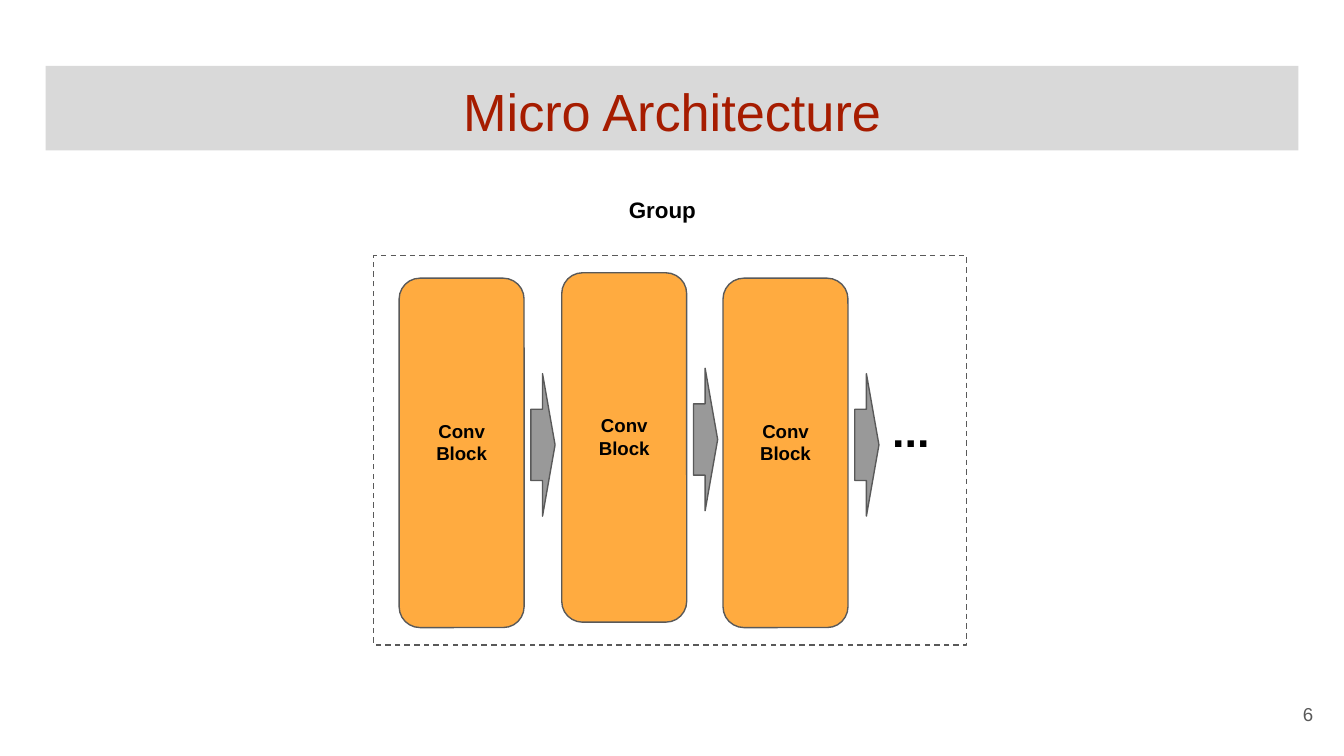
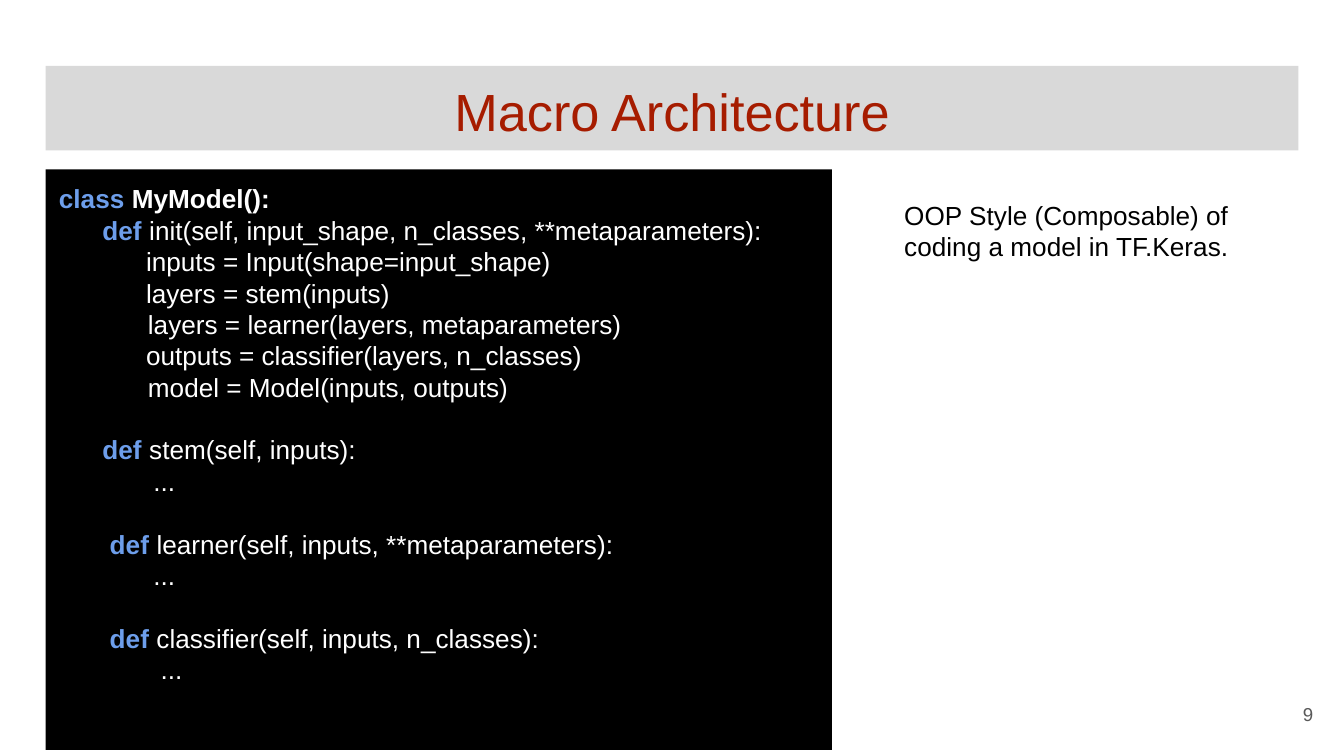
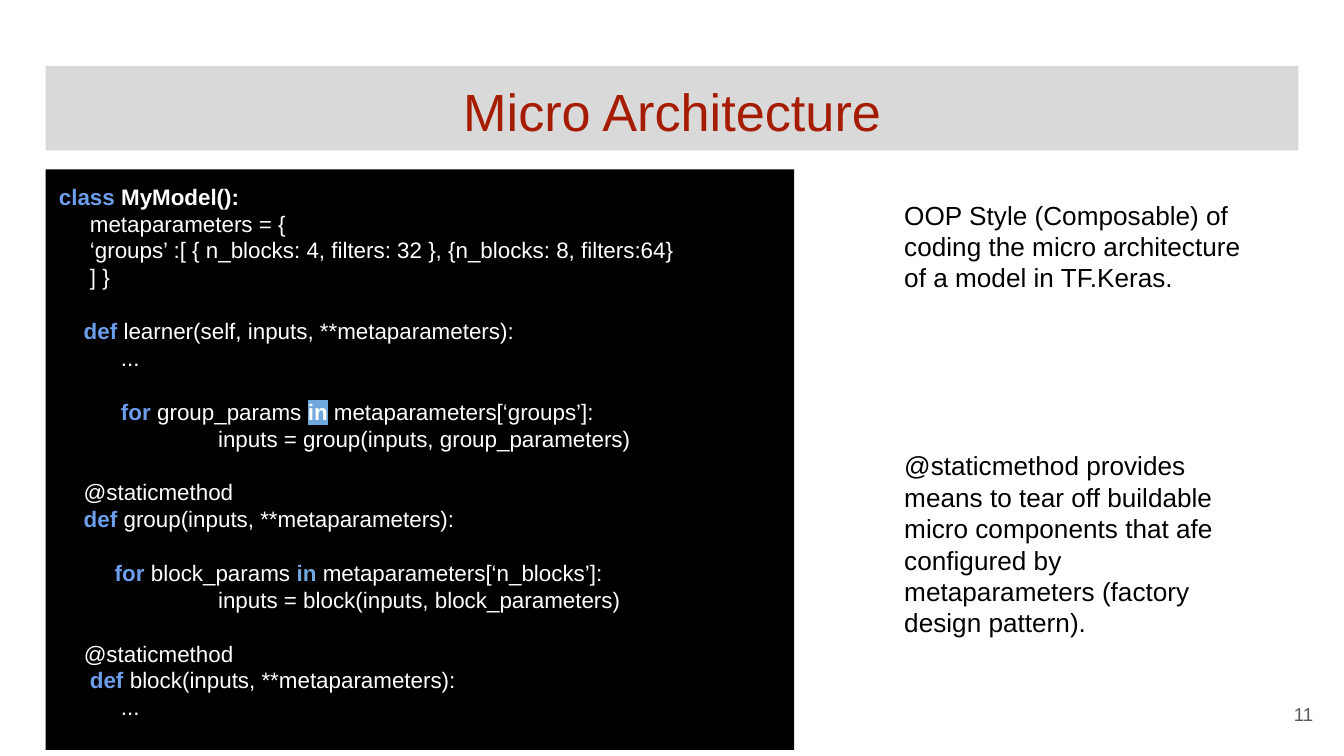
"""Build three slides on macro and micro model architecture."""
from dataclasses import dataclass

from lxml import etree
from pptx import Presentation
from pptx.dml.color import RGBColor
from pptx.enum import dml, shapes, text
from pptx.oxml import ns
from pptx.util import Inches, Pt

FONT = "Arial"
WHITE = RGBColor(0xFF, 0xFF, 0xFF)
BLACK = RGBColor(0x00, 0x00, 0x00)
TITLE_RED = RGBColor(0xA6, 0x1C, 0x00)
BAND_GRAY = RGBColor(0xD9, 0xD9, 0xD9)
OUTLINE_GRAY = RGBColor(0x59, 0x59, 0x59)
ARROW_GRAY = RGBColor(0x99, 0x99, 0x99)
BLOCK_ORANGE = RGBColor(0xFF, 0xAB, 0x40)
KEYWORD_BLUE = RGBColor(0x6D, 0x9E, 0xEB)
IN_BLUE = RGBColor(0x6F, 0xA8, 0xDC)
LINE_PITCH = 1.2
LEFT, CENTER, RIGHT = text.PP_ALIGN.LEFT, text.PP_ALIGN.CENTER, text.PP_ALIGN.RIGHT
TOP, MIDDLE = text.MSO_ANCHOR.TOP, text.MSO_ANCHOR.MIDDLE


@dataclass(frozen=True)
class Box:
    """A position and size in inches."""
    left: float
    top: float
    width: float
    height: float

    def lengths(self):
        """Return the four values as lengths."""
        return [Inches(value) for value in (self.left, self.top, self.width, self.height)]


@dataclass(frozen=True)
class Span:
    """A piece of text in one style."""
    words: str
    color: RGBColor = BLACK
    bold: bool = False
    highlight: RGBColor | None = None


@dataclass(frozen=True)
class Line:
    """A paragraph with the number of empty lines above it."""
    spans: tuple
    gap: int = 0
    indent: float = 0
    tab: float = 0


TITLE_BOX = Box(0.34, 0.49, 9.32, 0.63)
NUMBER_BOX = Box(9.27, 5.1, 0.6, 0.43)
NOTE_BOX = Box(6.63, 1.38, 2.84, 3.95)
GROUP_BOX = Box(2.78, 1.9, 4.41, 2.9)
BLOCK_LEFTS = (2.97, 4.18, 5.38)
BLOCK_TOPS = (2.07, 2.03, 2.07)


def keyword(words: str) -> Span:
    """Return a bold blue piece of code."""
    return Span(words, KEYWORD_BLUE, True)


def code(words: str, gap: int = 0, indent: float = 0, tab: float = 0) -> Line:
    """Return a plain line of code."""
    return Line((Span(words, WHITE),), gap, indent, tab)


def statement(start: str, rest: str, gap: int = 0) -> Line:
    """Return a line of code that starts with a keyword."""
    return Line((keyword(start), Span(rest, WHITE)), gap)


def loop(start: str, variable: str, member: Span, source: str) -> Line:
    """Return the head of a for loop."""
    return Line((keyword(start), Span(variable, WHITE), member, Span(source, WHITE)), 1)


CLASS_LINE = Line((keyword("class "), Span("MyModel():", WHITE, True)))
MACRO_CODE = (
    CLASS_LINE,
    statement("      def ", "init(self, input_shape, n_classes, **metaparameters):"),
    code("            inputs = Input(shape=input_shape)"),
    code("            layers = stem(inputs)"),
    code("   layers = learner(layers, metaparameters)", indent=0.5),
    code("            outputs = classifier(layers, n_classes)"),
    code("   model = Model(inputs, outputs)", indent=0.5),
    statement("      def ", "stem(self, inputs):", 1),
    code("             ..."),
    statement("       def ", "learner(self, inputs, **metaparameters):", 1),
    code("             ..."),
    statement("       def", " classifier(self, inputs, n_classes):", 1),
    code("              ..."),
)
MICRO_CODE = (
    CLASS_LINE,
    code("     metaparameters = {"),
    code("     ‘groups’ :[ { n_blocks: 4, filters: 32 }, {n_blocks: 8, filters:64} \n     ] }"),
    statement("    def ", "learner(self, inputs, **metaparameters):", 1),
    code("          ..."),
    loop("          for", " group_params ", Span("in", WHITE, True, IN_BLUE),
         " metaparameters[‘groups’]:"),
    code("\t    inputs = group(inputs, group_parameters)", tab=1),
    code("    @staticmethod", 1),
    statement("    def ", "group(inputs, **metaparameters):"),
    loop("         for", " block_params ", Span("in", IN_BLUE, True),
         " metaparameters[‘n_blocks’]:"),
    code("\t    inputs = block(inputs, block_parameters)", tab=1),
    Line((keyword("    "), Span("@staticmethod\n", WHITE), keyword("     def "),
          Span("block(inputs, **metaparameters):", WHITE)), 1),
    code("          ..."),
)
MACRO_NOTES = (Line((Span("OOP Style (Composable) of coding a model in TF.Keras."),)),)
MICRO_NOTES = (
    Line((Span("OOP Style (Composable) of coding the micro architecture of a model in TF.Keras."),)),
    Line((Span("@staticmethod provides means to tear off buildable micro components that afe "
               "configured by metaparameters (factory design pattern)."),), 5),
)


def add_run(paragraph, words: str, span: Span, size: float) -> None:
    """Add one styled run to a paragraph."""
    run = paragraph.add_run()
    run.text = words
    run.font.size = Pt(size)
    run.font.bold = span.bold
    run.font.color.rgb = span.color
    if span.highlight is not None:
        highlight = etree.SubElement(run.font._element, ns.qn("a:highlight"))
        etree.SubElement(highlight, ns.qn("a:srgbClr"), val=str(span.highlight))
    run.font.name = FONT


def add_span(paragraph, span: Span, size: float) -> None:
    """Add a span, with a line break at each newline."""
    for index, words in enumerate(span.words.split("\n")):
        if index:
            paragraph.add_line_break()
            etree.SubElement(paragraph._p[-1], ns.qn("a:rPr"), sz=str(round(size * 100)))
        if words:
            add_run(paragraph, words, span, size)


def write(shape, lines, size: float, align=LEFT, anchor=TOP) -> None:
    """Fill a shape with paragraphs."""
    frame = shape.text_frame
    frame.word_wrap = True
    frame.auto_size = text.MSO_AUTO_SIZE.NONE
    frame.vertical_anchor = anchor
    frame.margin_left = frame.margin_right = Inches(0.1)
    frame.margin_top = frame.margin_bottom = Inches(0.1)
    for index, line in enumerate(lines):
        paragraph = frame.add_paragraph() if index else frame.paragraphs[0]
        paragraph.alignment = align
        if line.gap:
            paragraph.space_before = Pt(line.gap * size * LINE_PITCH)
        properties = paragraph._p.get_or_add_pPr()
        if line.indent:
            properties.set("indent", str(Inches(line.indent)))
        if line.tab:
            tabs = etree.SubElement(properties, ns.qn("a:tabLst"))
            etree.SubElement(tabs, ns.qn("a:tab"), pos=str(Inches(line.tab)), algn="l")
        for span in line.spans:
            add_span(paragraph, span, size)


def add_text(slide, box: Box, lines, size: float, align=LEFT, anchor=TOP) -> None:
    """Add a text box."""
    write(slide.shapes.add_textbox(*box.lengths()), lines, size, align, anchor)


def add_preset(slide, kind, box: Box, fill=None, line=None):
    """Add a preset shape with a flat fill and a thin outline."""
    shape = slide.shapes.add_shape(kind, *box.lengths())
    shape.shadow.inherit = False
    if fill is None:
        shape.fill.background()
    else:
        shape.fill.solid()
        shape.fill.fore_color.rgb = fill
    if line is None:
        shape.line.fill.background()
    else:
        shape.line.color.rgb = line
        shape.line.width = Pt(0.75)
    return shape


def add_titled_slide(presentation, title: str):
    """Add a slide with the title band."""
    slide = presentation.slides.add_slide(presentation.slide_layouts[5])
    band = slide.shapes.title
    band.left, band.top, band.width, band.height = TITLE_BOX.lengths()
    band.fill.solid()
    band.fill.fore_color.rgb = BAND_GRAY
    write(band, [Line((Span(title, TITLE_RED),))], 28, CENTER)
    return slide


def add_number(slide, number: int) -> None:
    """Add the page number."""
    add_text(slide, NUMBER_BOX, [Line((Span(str(number), OUTLINE_GRAY),))], 10, RIGHT, MIDDLE)


def add_conv_block(slide, left: float, top: float) -> None:
    """Add a convolution block and the arrow that leaves it."""
    block = add_preset(slide, shapes.MSO_SHAPE.ROUNDED_RECTANGLE,
                       Box(left, top, 0.93, 2.6), BLOCK_ORANGE, OUTLINE_GRAY)
    block.adjustments[0] = 0.167
    write(block, [Line((Span("Conv\nBlock", bold=True),))], 10, CENTER, MIDDLE)
    block.text_frame.margin_bottom = Inches(0.26)
    arrow = add_preset(slide, shapes.MSO_SHAPE.DOWN_ARROW,
                       Box(left + 0.54, top + 1.15, 1.06, 0.18), ARROW_GRAY, OUTLINE_GRAY)
    arrow.rotation = 270
    arrow.adjustments[0] = 0.5
    arrow.adjustments[1] = 0.517


def add_group_slide(presentation) -> None:
    """Add the diagram of a group of convolution blocks."""
    slide = add_titled_slide(presentation, "Micro Architecture")
    frame = add_preset(slide, shapes.MSO_SHAPE.RECTANGLE, GROUP_BOX, line=OUTLINE_GRAY)
    frame.line.dash_style = dml.MSO_LINE.DASH
    for left, top in zip(BLOCK_LEFTS, BLOCK_TOPS):
        add_conv_block(slide, left, top)
    add_text(slide, Box(6.54, 2.9, 0.83, 0.46), [Line((Span("...", bold=True),))], 24)
    add_text(slide, Box(4.58, 1.36, 1.85, 0.43), [Line((Span("Group", bold=True),))], 12)
    add_number(slide, 6)


def add_code_slide(presentation, title: str, number: int, width: float,
                   lines, size: float, notes) -> None:
    """Add a code panel with notes beside it."""
    slide = add_titled_slide(presentation, title)
    panel = add_preset(slide, shapes.MSO_SHAPE.RECTANGLE, Box(0.34, 1.26, width, 4.32), BLACK)
    write(panel, lines, size)
    add_text(slide, NOTE_BOX, notes, 14)
    add_number(slide, number)


def main() -> None:
    """Build and save the presentation."""
    presentation = Presentation()
    presentation.slide_width = Inches(10)
    presentation.slide_height = Inches(10 * 9 / 16)
    add_group_slide(presentation)
    add_code_slide(presentation, "Macro Architecture", 9, 5.85, MACRO_CODE, 14, MACRO_NOTES)
    add_code_slide(presentation, "Micro Architecture", 11, 5.57, MICRO_CODE, 12, MICRO_NOTES)
    presentation.save("out.pptx")


if __name__ == "__main__":
    main()
